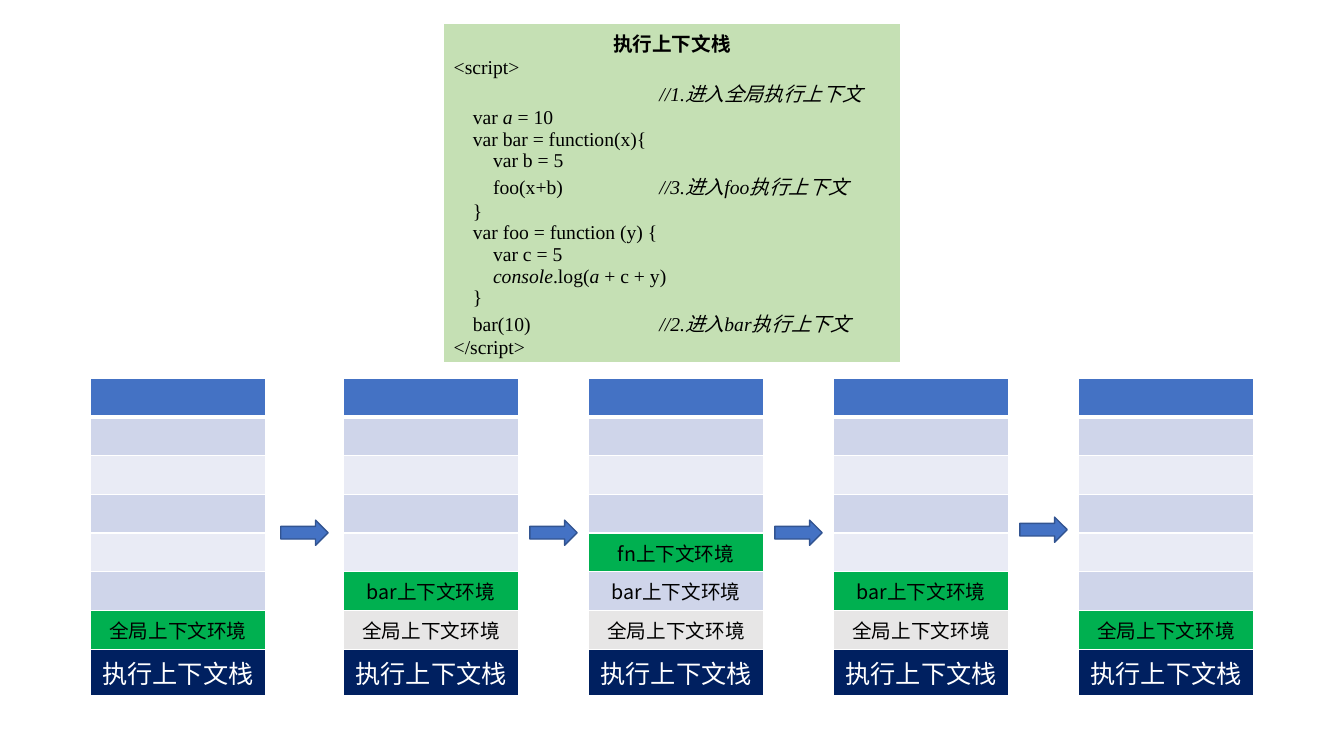
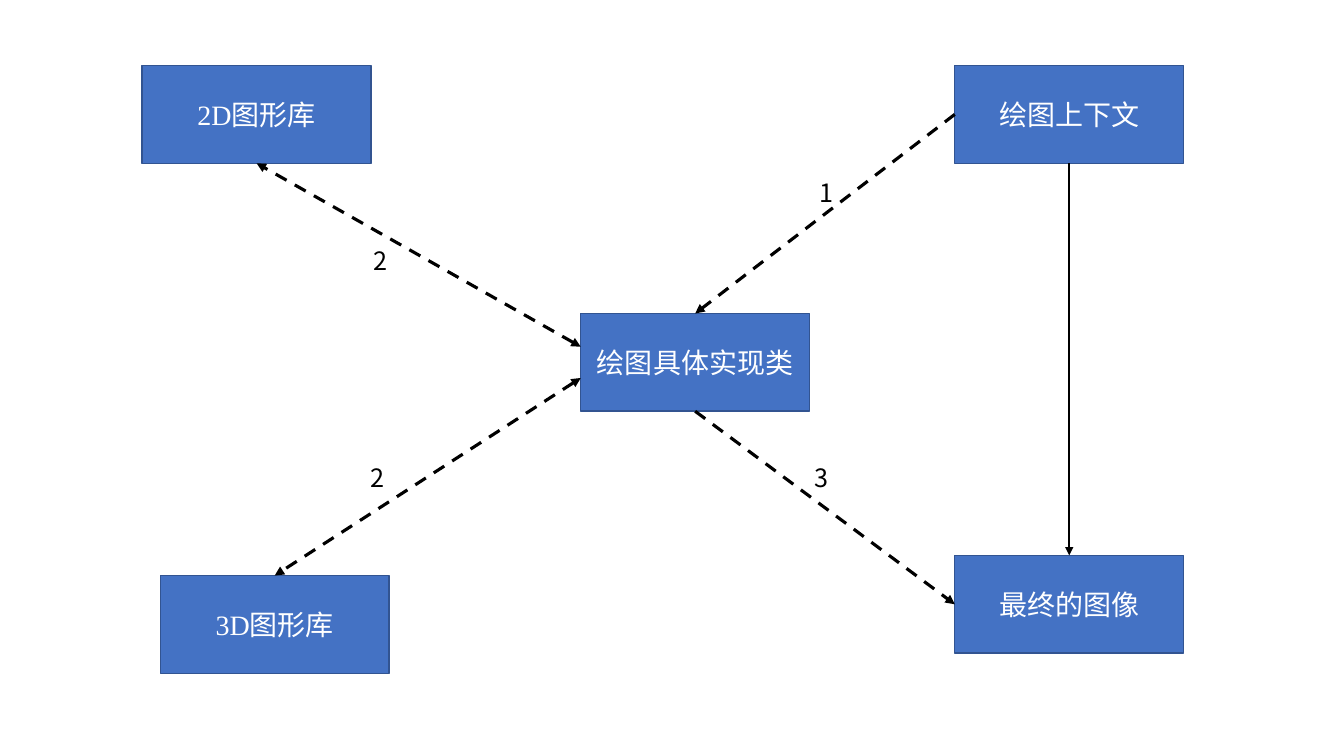
from dataclasses import dataclass
from itertools import pairwise

from lxml import etree
from pptx import Presentation
from pptx import util as u
from pptx.dml.color import RGBColor
from pptx.enum import dml, shapes, text
from pptx.oxml.ns import qn

# Shared colours and fonts
BLACK = RGBColor(0x00, 0x00, 0x00)
WHITE = RGBColor(0xFF, 0xFF, 0xFF)
BLUE = RGBColor(0x44, 0x72, 0xC4)
BLUE_EDGE = RGBColor(0x32, 0x54, 0x91)
NAVY = RGBColor(0x00, 0x20, 0x60)
GREEN = RGBColor(0x00, 0xB0, 0x50)
PALE_GREEN = RGBColor(0xC5, 0xE0, 0xB4)
BAND_DARK = RGBColor(0xCF, 0xD5, 0xEA)
BAND_LIGHT = RGBColor(0xE9, 0xEB, 0xF5)
GREY = RGBColor(0xE7, 0xE6, 0xE6)
SANS = "Noto Sans CJK SC"
SERIF = "Times New Roman"

# Stack grid, in inches
STACK_TOP, STACK_WIDTH, ROW_COUNT, ROW_HEIGHT = 3.75, 1.73, 8, 0.385
ARROW_WIDTH, ARROW_HEIGHT = 0.47, 0.25
BOX_WIDTH, BOX_HEIGHT = 2.27, 0.97

STACK_NAME = "执行上下文栈"
GLOBAL, BAR, FN = "全局上下文环境", "bar上下文环境", "fn上下文环境"

# Tabs lead to the two indents and the comment column; * switches italics
CODE_TABS = (0.19, 0.39, 2.04)
CODE_LINES = (
    "<script>",
    "\t\t\t*//1.进入全局执行上下文",
    "\tvar *a *= 10",
    "\tvar bar = function(x){",
    "\t\tvar b = 5",
    "\t\tfoo(x+b)\t*//3.进入foo执行上下文",
    "\t}",
    "\tvar foo = function (y) {",
    "\t\tvar c = 5",
    "\t\t*console*.log(*a *+ c + y)",
    "\t}",
    "\tbar(10)\t*//2.进入bar执行上下文",
    "</script>",
)


@dataclass(frozen=True)
class Stack:
    left: float
    contexts: tuple[str, ...]  # from the top of the stack down
    arrow_top: float = 5.16  # arrow that leads to the next stack


@dataclass(frozen=True)
class Box:
    left: float
    top: float
    label: str

    def point(self, across: float, down: float) -> tuple[float, float]:
        return self.left + across * BOX_WIDTH, self.top + down * BOX_HEIGHT


@dataclass(frozen=True)
class Link:
    start: tuple[float, float]
    end: tuple[float, float]
    dashed: bool = True
    two_way: bool = False


STACKS = (
    Stack(0.90, (GLOBAL,)),
    Stack(3.41, (BAR, GLOBAL)),
    Stack(5.84, (FN, BAR, GLOBAL)),
    Stack(8.27, (BAR, GLOBAL), arrow_top=5.13),
    Stack(10.70, (GLOBAL,)),
)

CONTEXT = Box(9.47, 0.65, "绘图上下文")
IMAGE = Box(9.47, 5.51, "最终的图像")
DRAWING_CLASS = Box(5.76, 3.11, "绘图具体实现类")
LIBRARY_3D = Box(1.59, 5.71, "3D图形库")
LIBRARY_2D = Box(1.41, 0.65, "2D图形库")
BOXES = (CONTEXT, IMAGE, DRAWING_CLASS, LIBRARY_3D, LIBRARY_2D)

LINKS = (
    Link(CONTEXT.point(0.5, 1), IMAGE.point(0.5, 0), dashed=False),
    Link(CONTEXT.point(0, 0.5), DRAWING_CLASS.point(0.5, 0)),
    Link(DRAWING_CLASS.point(0.5, 1), IMAGE.point(0, 0.5)),
    Link(DRAWING_CLASS.point(0, 0.34), LIBRARY_2D.point(0.5, 1), two_way=True),
    Link(DRAWING_CLASS.point(0, 0.66), LIBRARY_3D.point(0.5, 0), two_way=True),
)
STEPS = (("1", 8.03, 1.71), ("2", 3.61, 2.38), ("2", 3.58, 4.54), ("3", 7.98, 4.54))


def inches(*lengths: float) -> list[int]:
    return [u.Inches(length) for length in lengths]


def write(paragraph, words: str, *, size: float = 14, font: str = SANS,
          color: RGBColor = BLACK, bold: bool = False, italic: bool = False,
          centred: bool = False) -> None:
    """Add one run of formatted text to a paragraph."""
    if centred:
        paragraph.alignment = text.PP_ALIGN.CENTER
    run = paragraph.add_run()
    run.text = words
    run.font.size, run.font.name = u.Pt(size), font
    run.font.bold, run.font.italic = bold, italic
    run.font.color.rgb = color
    east_asian = etree.SubElement(run.font._element, qn("a:ea"))
    east_asian.set("typeface", SANS)


# Tables
def add_plain_table(slide, rows: int, left: float, top: float, width: float, height: float):
    table = slide.shapes.add_table(rows, 1, *inches(left, top, width, height)).table
    table.first_row = table.horz_banding = False
    return table


def style_cell(cell, fill: RGBColor, *, first: bool = False) -> None:
    """Fill a cell and give it white borders, thick below the first row."""
    cell.fill.solid()
    cell.fill.fore_color.rgb = fill
    widths = {"lnL": 1, "lnR": 1, "lnB": 3 if first else 1}
    if first:
        widths = {"lnL": 1, "lnR": 1, "lnT": 1, "lnB": 3}
    properties = cell._tc.get_or_add_tcPr()
    for position, (side, points) in enumerate(widths.items()):
        border = etree.Element(qn(f"a:{side}"), w=str(u.Pt(points)))
        solid = etree.SubElement(border, qn("a:solidFill"))
        etree.SubElement(solid, qn("a:srgbClr"), val=str(WHITE))
        properties.insert(position, border)


def add_stack(slide, stack: Stack) -> None:
    table = add_plain_table(slide, ROW_COUNT, stack.left, STACK_TOP,
                            STACK_WIDTH, ROW_COUNT * ROW_HEIGHT)
    first_context = ROW_COUNT - 1 - len(stack.contexts)
    for row in range(ROW_COUNT):
        cell = table.cell(row, 0)
        cell.vertical_anchor = text.MSO_ANCHOR.MIDDLE
        paragraph = cell.text_frame.paragraphs[0]
        fill = BAND_DARK if row % 2 else BAND_LIGHT
        if row == ROW_COUNT - 1:
            fill = NAVY
            write(paragraph, STACK_NAME, size=18, font=SERIF, color=WHITE, centred=True)
        elif row >= first_context:
            context = stack.contexts[row - first_context]
            if row == first_context:
                fill = GREEN
            elif context == GLOBAL:
                fill = GREY
            write(paragraph, context, centred=True)
        else:
            fill = BLUE if row == 0 else fill
            etree.SubElement(paragraph._p, qn("a:endParaRPr"), sz="1400")
        style_cell(cell, fill, first=row == 0)


def add_code(slide) -> None:
    cell = add_plain_table(slide, 1, 4.4, 0.23, 4.53, 3.14).cell(0, 0)
    style_cell(cell, PALE_GREEN, first=True)
    frame = cell.text_frame
    write(frame.paragraphs[0], STACK_NAME, font=SERIF, bold=True, centred=True)
    for line in CODE_LINES:
        paragraph = frame.add_paragraph()
        tabs = etree.SubElement(paragraph._p.get_or_add_pPr(), qn("a:tabLst"))
        for stop in CODE_TABS:
            etree.SubElement(tabs, qn("a:tab"), pos=str(u.Inches(stop)), algn="l")
        for index, part in enumerate(line.split("*")):
            write(paragraph, part, font=SERIF, italic=index % 2 == 1)


# Shapes and lines
def add_blue_shape(slide, kind, left: float, top: float, width: float, height: float):
    shape = slide.shapes.add_shape(kind, *inches(left, top, width, height))
    shape.shadow.inherit = False
    shape.fill.solid()
    shape.fill.fore_color.rgb = BLUE
    shape.line.color.rgb = BLUE_EDGE
    shape.line.width = u.Pt(1)
    return shape


def add_box(slide, box: Box) -> None:
    shape = add_blue_shape(slide, shapes.MSO_SHAPE.RECTANGLE,
                           box.left, box.top, BOX_WIDTH, BOX_HEIGHT)
    frame = shape.text_frame
    frame.word_wrap = True
    frame.vertical_anchor = text.MSO_ANCHOR.MIDDLE
    write(frame.paragraphs[0], box.label, size=20, font=SERIF, color=WHITE, centred=True)


def add_link(slide, link: Link) -> None:
    connector = slide.shapes.add_connector(shapes.MSO_CONNECTOR.STRAIGHT,
                                           *inches(*link.start, *link.end))
    line = connector.line
    line.color.rgb = BLACK
    line.width = u.Pt(2.25 if link.dashed else 1.5)
    if link.dashed:
        line.dash_style = dml.MSO_LINE.DASH
    outline = line._get_or_add_ln()
    for end in ("headEnd", "tailEnd") if link.two_way else ("tailEnd",):
        etree.SubElement(outline, qn(f"a:{end}"), type="triangle")
    etree.SubElement(connector._element.spPr, qn("a:effectLst"))


def add_step(slide, number: str, left: float, top: float) -> None:
    frame = slide.shapes.add_textbox(*inches(left, top, 0.5, 0.4)).text_frame
    frame.word_wrap = True
    frame.auto_size = text.MSO_AUTO_SIZE.SHAPE_TO_FIT_TEXT
    write(frame.paragraphs[0], number, size=18)


# Slides
def build_stack_slide(slide) -> None:
    add_code(slide)
    for stack in STACKS:
        add_stack(slide, stack)
    for stack, following in pairwise(STACKS):
        gap_centre = (stack.left + STACK_WIDTH + following.left) / 2
        add_blue_shape(slide, shapes.MSO_SHAPE.RIGHT_ARROW, gap_centre - ARROW_WIDTH / 2,
                       stack.arrow_top, ARROW_WIDTH, ARROW_HEIGHT)


def build_drawing_slide(slide) -> None:
    for box in BOXES:
        add_box(slide, box)
    for link in LINKS:
        add_link(slide, link)
    for step in STEPS:
        add_step(slide, *step)


def main() -> None:
    deck = Presentation()
    deck.slide_width, deck.slide_height = inches(13.33, 7.5)
    blank = deck.slide_layouts[6]
    for build in (build_stack_slide, build_drawing_slide):
        build(deck.slides.add_slide(blank))
    deck.save("out.pptx")


if __name__ == "__main__":
    main()
